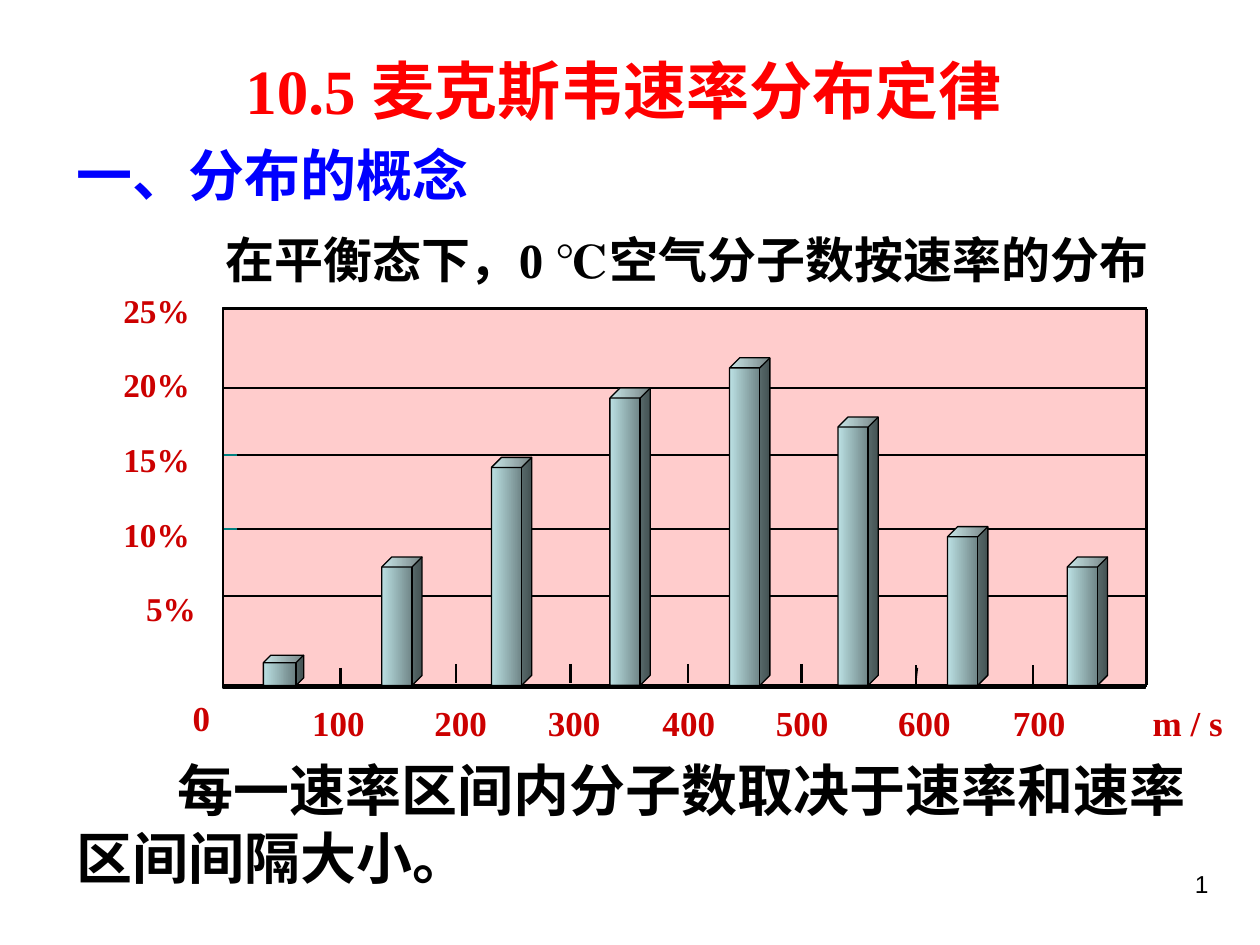
from lxml import etree
from pptx import Presentation
from pptx.dml.color import RGBColor
from pptx.enum import shapes, text
from pptx.oxml.ns import qn
from pptx.util import Inches, Pt

hue = RGBColor.from_string
deck = Presentation()
deck.slide_width, deck.slide_height = Inches(10), Inches(7.5)
slide = deck.slides.add_slide(deck.slide_layouts[6])


def write(words, x, y, w, h, size, color, pad=0.1, wrap=True, tabs=(), indent=0):
    box = slide.shapes.add_textbox(Inches(x), Inches(y), Inches(w), Inches(h))
    frame = box.text_frame
    frame.word_wrap = wrap
    frame.margin_left = frame.margin_right = Inches(pad)
    frame.margin_top = frame.margin_bottom = Inches(pad / 2)
    para = frame.paragraphs[0]
    para.text = words
    props = para._p.get_or_add_pPr()
    if indent:
        props.set("indent", str(Inches(indent)))
    if tabs:
        stops = etree.SubElement(props, qn("a:tabLst"))
        for stop in tabs:
            etree.SubElement(stops, qn("a:tab"), pos=str(Inches(stop)), algn="l")
    para.font.size = Pt(size)
    para.font.name = "Times New Roman"
    para.font.bold = True
    para.font.color.rgb = hue(color)
    return para


def draw(x1, y1, x2, y2, width=1.5, color="000000"):
    line = slide.shapes.add_connector(
        shapes.MSO_CONNECTOR.STRAIGHT, Inches(x1), Inches(y1), Inches(x2), Inches(y2))
    line.line.color.rgb = hue(color)
    line.line.width = Pt(width)
    etree.SubElement(line._element.spPr, qn("a:effectLst"))


write("一、分布的概念", 0.51, 1.07, 4.72, 0.64, 32, "0000FF")
write("在平衡态下，0 ℃空气分子数按速率的分布", 1.69, 1.77, 7.87, 0.57, 28, "000000")
write("10.5 麦克斯韦速率分布定律", 1.85, 0.36, 6.46, 0.7, 36, "FF0000")

left, right, top, base = 1.77, 9.1, 2.45, 5.44
plot = slide.shapes.add_shape(
    shapes.MSO_SHAPE.RECTANGLE, Inches(left), Inches(2.44), Inches(7.32), Inches(3.02))
plot.shadow.inherit = False
plot.fill.solid()
plot.fill.fore_color.rgb = hue("FFCCCC")
plot.line.color.rgb = hue("000000")
plot.line.width = Pt(0.75)

for y, width in [(4.2, 1), (3.61, 1.5), (top, 1.5), (3.08, 1.5), (4.73, 1.5), (base, 1.5)]:
    draw(left, y, right, y, width)
for y in (4.2, 3.61):
    draw(1.78, y, 1.88, y, 1, "008080")

write("100\t200\t300\t400\t500\t600\t700\tm / s", 2.38, 5.52, 7.6, 0.44, 20, "CC0000",
      tabs=(0.97, 1.87, 2.78, 3.68, 4.65, 5.56, 6.67))
write("0", 1.43, 5.48, 0.34, 0.44, 20, "CC0000", wrap=False)
write("5%", 1.16, 4.67, 0.4, 0.32, 19, "CC0000", pad=0, wrap=False)
for i in range(4):
    write(f"{25 - 5 * i}%", 0.98, 2.3 + 0.594 * i, 0.53, 0.32, 19, "CC0000", pad=0, wrap=False)

bars = [(2.09, 5.2), (3.03, 4.42), (3.9, 3.63), (4.84, 3.08),
        (5.79, 2.84), (6.65, 3.31), (7.52, 4.18), (8.47, 4.42)]
for x, y in bars:
    bar = slide.shapes.add_shape(
        shapes.MSO_SHAPE.CUBE, Inches(x), Inches(y), Inches(0.32), Inches(base - y))
    bar.shadow.inherit = False
    bar.fill.gradient()
    bar.fill.gradient_angle = 180
    for stop, color in zip(bar.fill.gradient_stops, ("566768", "BBE0E3")):
        stop.color.rgb = hue(color)
    bar.line.color.rgb = hue("000000")
    bar.line.width = Pt(0.75)

ticks = [(2.7, 5.3), (3.62, 5.27), (4.53, 5.27), (5.46, 5.27),
         (6.36, 5.27), (7.27, 5.28), (8.2, 5.28)]
for x, y in ticks:
    draw(x, y, x, y + 0.15)
draw(7.27, 5.39, 7.28, 5.3, 1)
draw(8.2, 5.39, 8.2, 5.3, 1)
for x in (right, left):
    draw(x, top, x, base)

write("每一速率区间内分子数取决于速率和速率区间间隔大小。",
      0.51, 5.95, 9.42, 1.17, 32, "000000", indent=0.8)
page = write("1", 7.36, 6.85, 2.33, 0.52, 14, "000000")
page.alignment = text.PP_ALIGN.RIGHT
page.font.name = "Arial"
page.font.bold = False

deck.save("out.pptx")
